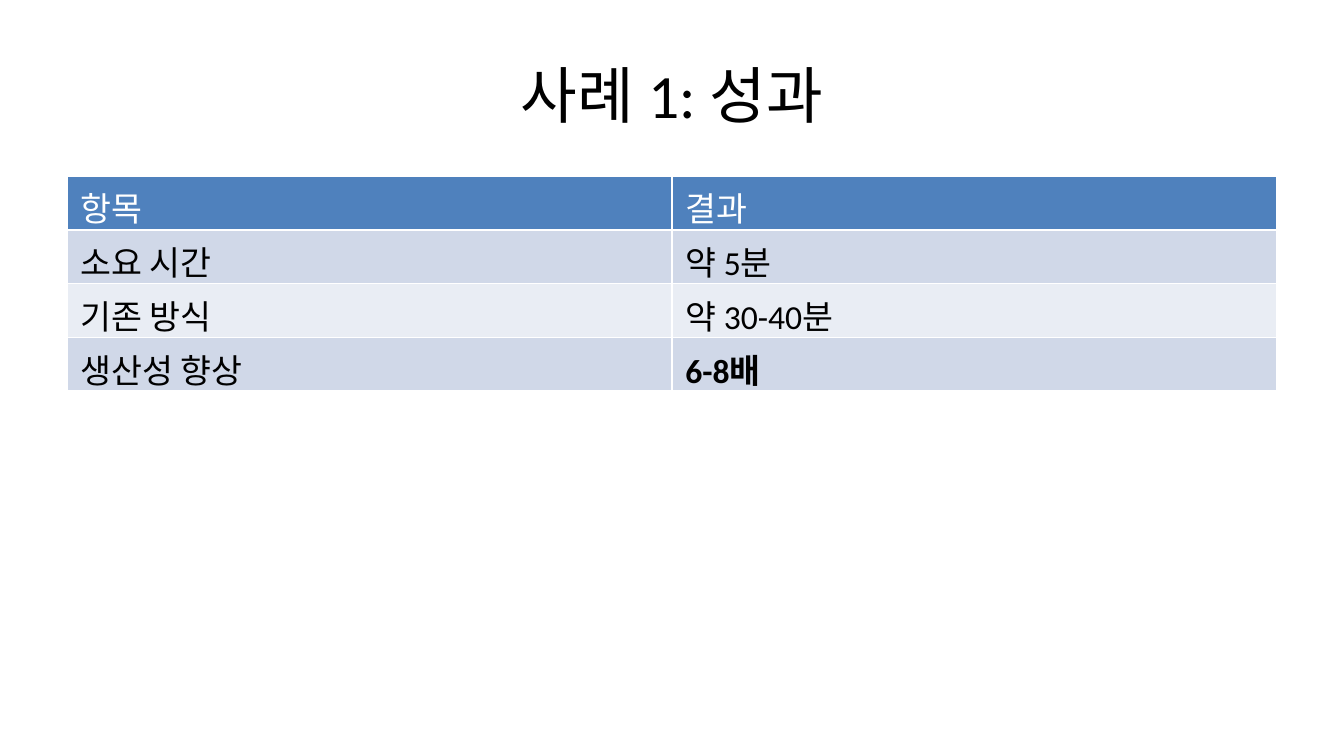
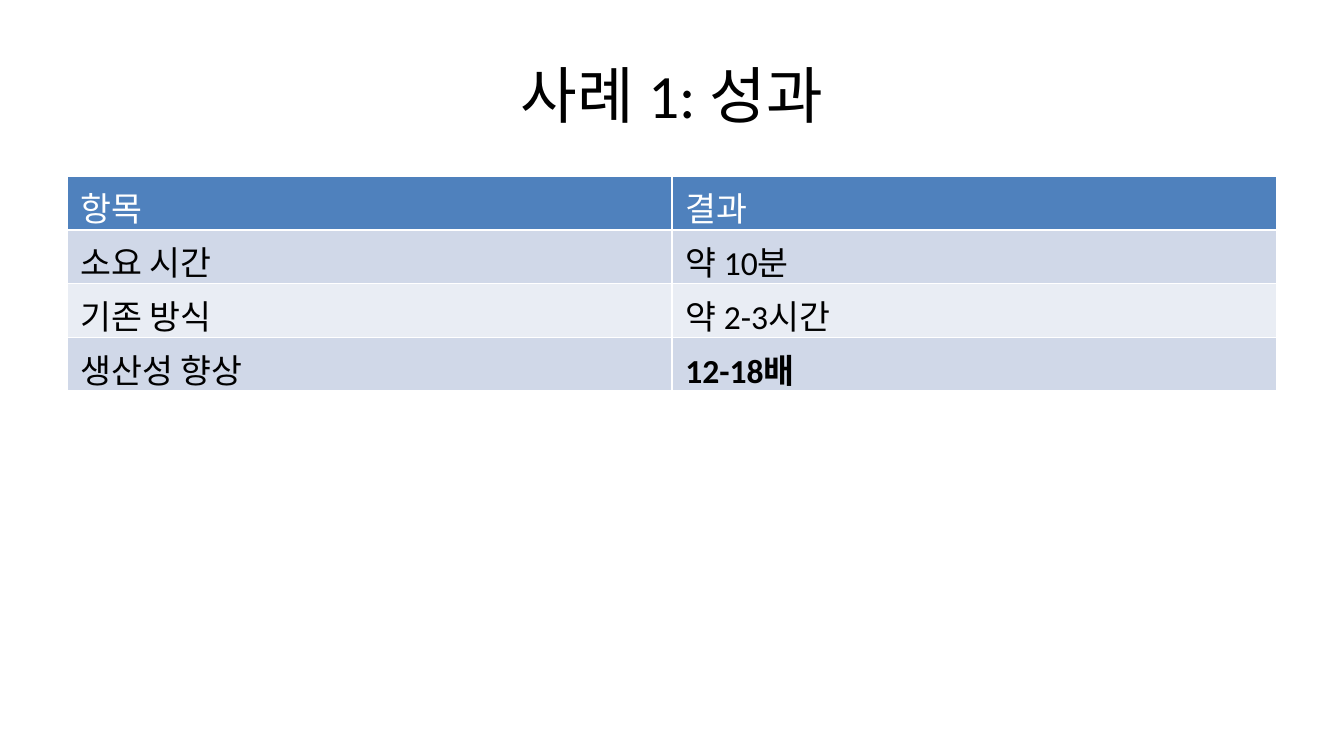
"""Build two result slides, each with a title and a table."""
from dataclasses import dataclass
from pptx import Presentation
from pptx.dml.color import RGBColor
from pptx.enum.text import MSO_ANCHOR, PP_ALIGN
from pptx.util import Inches, Pt


@dataclass(frozen=True)
class Theme:
    font: str = "Calibri"
    head: str = "4F81BD"
    bands: tuple = ("E9EDF4", "D0D8E8")
    white: str = "FFFFFF"
    black: str = "000000"
    title: int = 33
    body: int = 18


theme = Theme()


def style(para, size, color, bold=False):
    font = para.font
    font.name = theme.font
    font.size = Pt(size)
    font.bold = bold
    font.color.rgb = RGBColor.from_string(color)


title = "사례 1: 성과"
labels = ["항목", "소요 시간", "기존 방식", "생산성 향상"]
cases = [
    ["결과", "약 5분", "약 30-40분", "6-8배"],
    ["결과", "약 10분", "약 2-3시간", "12-18배"],
]

deck = Presentation()
deck.slide_width = Inches(10)
deck.slide_height = Inches(10) * 9 // 16

for case in cases:
    slide = deck.slides.add_slide(deck.slide_layouts[6])

    box = slide.shapes.add_textbox(Inches(0.5), Inches(0.23), Inches(9), Inches(0.94))
    frame = box.text_frame
    frame.word_wrap = True
    frame.vertical_anchor = MSO_ANCHOR.MIDDLE
    para = frame.paragraphs[0]
    para.text = title
    para.alignment = PP_ALIGN.CENTER
    style(para, theme.title, theme.black)

    rows = list(zip(labels, case))
    grid = slide.shapes.add_table(
        len(rows), 2, Inches(0.5), Inches(1.31), Inches(9), Inches(3.71)
    )
    table = grid.table
    for r, row in enumerate(rows):
        table.rows[r].height = Inches(0)
        for c, text in enumerate(row):
            cell = table.cell(r, c)
            cell.text = text
            cell.fill.solid()
            fill = theme.bands[r % 2] if r else theme.head
            cell.fill.fore_color.rgb = RGBColor.from_string(fill)
            color = theme.black if r else theme.white
            last = r == len(rows) - 1 and c == 1
            style(cell.text_frame.paragraphs[0], theme.body, color, last)
    grid.height = Inches(3.71)

deck.save("out.pptx")
